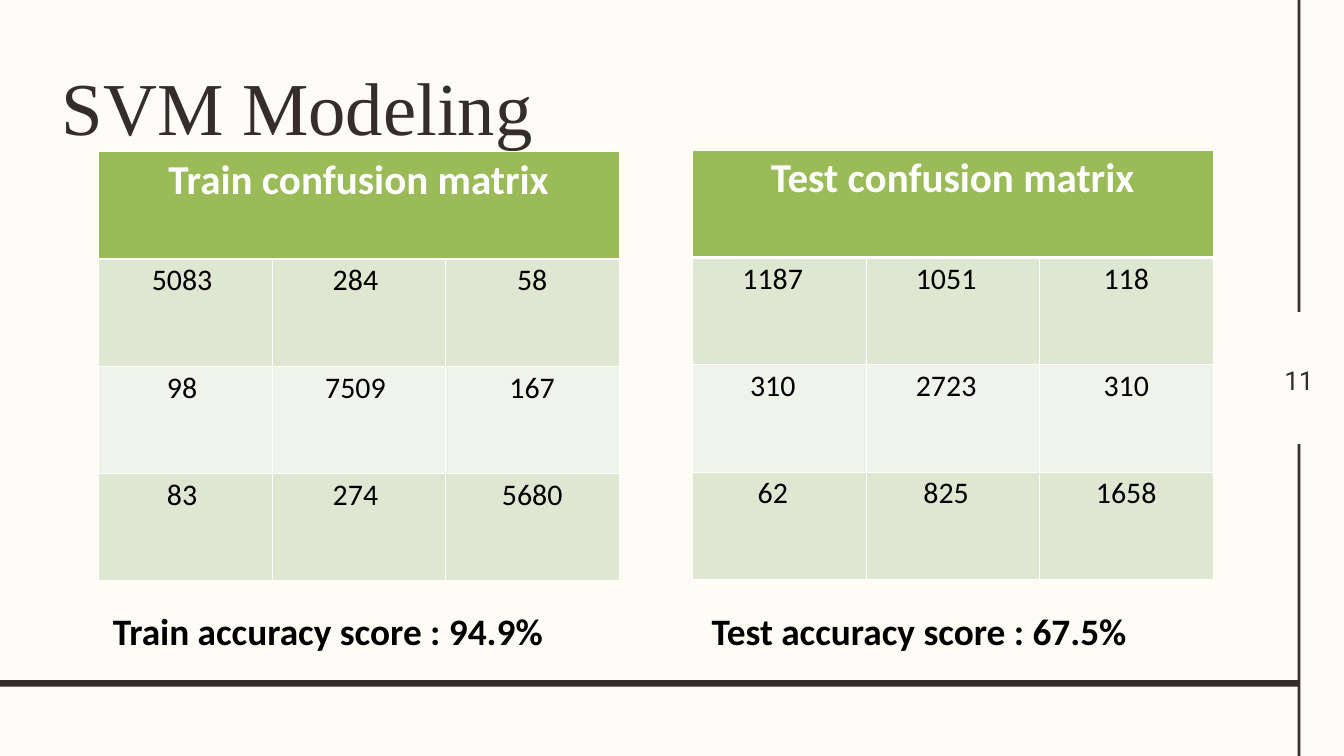
from lxml.etree import SubElement
from pptx import Presentation
from pptx.dml.color import RGBColor
from pptx.enum.shapes import MSO_SHAPE as Shape
from pptx.enum.text import PP_ALIGN as Align
from pptx.oxml.ns import qn
from pptx.util import Emu, Pt

PX = 9144
DARK, WHITE, BLACK = "342D29", "FFFFFF", "000000"
GREEN, BANDS = "9BBB59", ("DEE7D1", "EFF3EA")


def px(*lengths):
    return [Emu(length * PX) for length in lengths]


def color(value):
    return RGBColor.from_string(value)


class SlideBuilder:
    """Holds the style and the current slide and draws each kind of element."""

    def __init__(self, deck, background):
        self.slide = deck.slides.add_slide(deck.slide_layouts[6])
        fill = self.slide.background.fill
        fill.solid()
        fill.fore_color.rgb = color(background)

    def fill_text(self, frame, text, ink, align=Align.LEFT, spacing=None, **font):
        para = frame.paragraphs[0]
        para.alignment = align
        if spacing:
            para.line_spacing = Pt(spacing)
        span = para.add_run()
        span.text = text
        span.font.color.rgb = color(ink)
        for name, value in font.items():
            setattr(span.font, name, value)

    def text(self, area, text, ink, margins=None, **style):
        frame = self.slide.shapes.add_textbox(*px(*area)).text_frame
        frame.word_wrap = True
        for name, value in (margins or {}).items():
            setattr(frame, name, value)
        self.fill_text(frame, text, ink, **style)

    def bar(self, *area):
        shape = self.slide.shapes.add_shape(Shape.RECTANGLE, *px(*area))
        shape.shadow.inherit = False
        shape.fill.solid()
        shape.fill.fore_color.rgb = color(DARK)
        shape.line.fill.background()

    def borders(self, cell, widths):
        properties = cell._tc.get_or_add_tcPr()
        for index, (side, width) in enumerate(widths.items()):
            line = SubElement(properties, qn(f"a:ln{side}"), w=str(Pt(width)))
            fill = SubElement(line, qn("a:solidFill"))
            SubElement(fill, qn("a:srgbClr"), val=WHITE)
            properties.insert(index, line)

    def matrix(self, left, top, heading, values, inset):
        size = len(values)
        frame = self.slide.shapes.add_table(size + 1, size, *px(left, top, 774, 638))
        table = frame.table
        for column in table.columns:
            column.width = px(258)[0]
        for row in table.rows:
            row.height = Emu(int(159.5 * PX))
        for r in range(size + 1):
            for c in range(size):
                cell = table.cell(r, c)
                cell.fill.solid()
                cell.fill.fore_color.rgb = color(BANDS[(r - 1) % 2] if r else GREEN)
                self.borders(cell, {"L": 1, "R": 1, "T": 3 if r == 1 else 1, "B": 1 if r else 3})
                if r:
                    if c < size - 1:
                        cell.margin_right = px(10 + inset)[0]
                    self.fill_text(cell.text_frame, str(values[r - 1][c]), BLACK, Align.CENTER,
                                   name="Calibri", size=Pt(32), bold=False)
        title = table.cell(0, 0)
        title.merge(table.cell(0, size - 1))
        self.fill_text(title.text_frame, heading, WHITE, Align.CENTER,
                       name="Calibri", size=Pt(44), bold=True)


def main():
    deck = Presentation()
    deck.slide_width, deck.slide_height = px(2000, 1125)
    page = SlideBuilder(deck, "FFFBF5")
    flush = {f"margin_{side}": 0 for side in ("left", "top", "right", "bottom")}

    page.text((1895, 543, 76, 46), "11", DARK, flush, align=Align.CENTER,
              spacing=33.6, name="Roboto", size=Pt(28))
    page.bar(1931, 0, 4, 464)
    page.bar(1931, 661, 4, 464)
    page.bar(0, 1012, 1933, 10)
    page.text((92, 102, 801, 247), "SVM Modeling", DARK, flush,
              spacing=88, name="Times New Roman", size=Pt(80))

    train = [(5083, 284, 58), (98, 7509, 167), (83, 274, 5680)]
    test = [(1187, 1051, 118), (310, 2723, 310), (62, 825, 1658)]
    page.matrix(147, 226, "Train confusion matrix", train, 10)
    page.matrix(1031, 224, "Test confusion matrix", test, 20)

    for left, score in ((158, "Train accuracy score : 94.9%"),
                        (1049, "Test accuracy score : 67.5%")):
        page.text((left, 900, 762, 77), score, BLACK,
                  name="Calibri", size=Pt(40), bold=True)
    deck.save("out.pptx")


if __name__ == "__main__":
    main()
